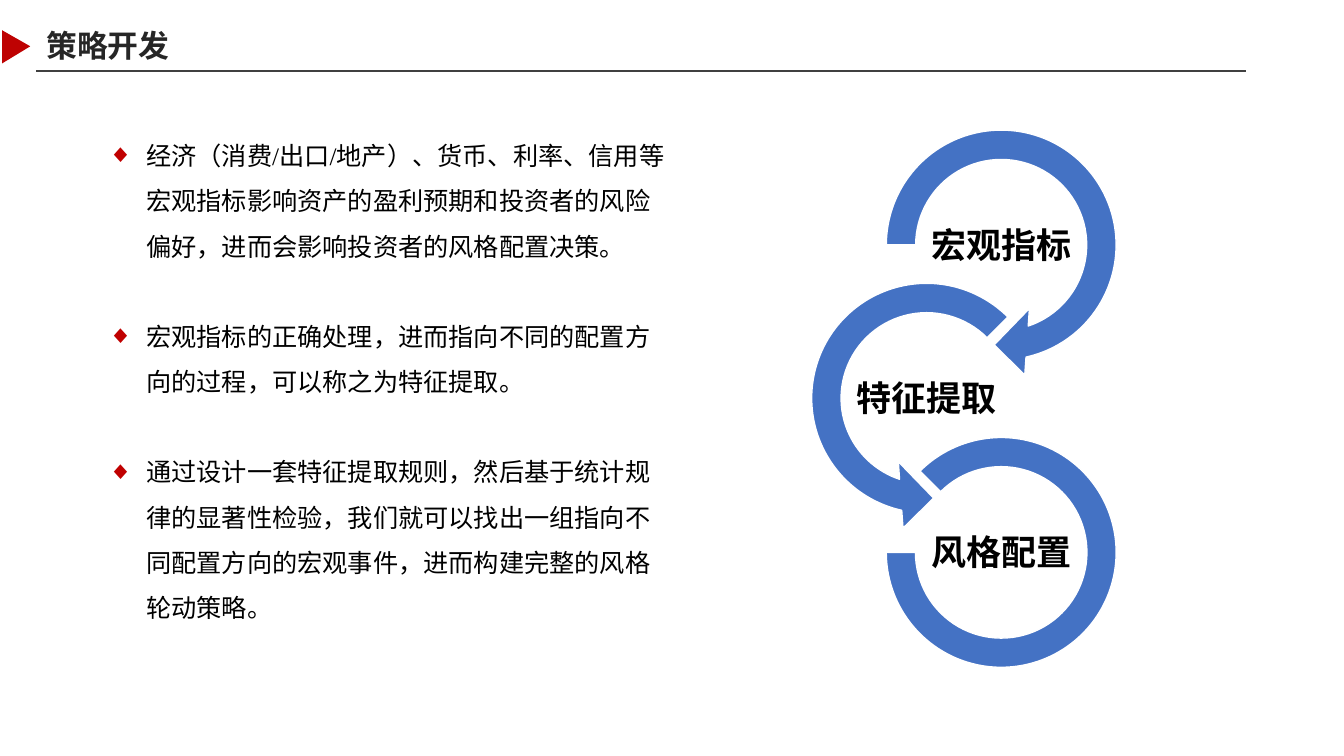
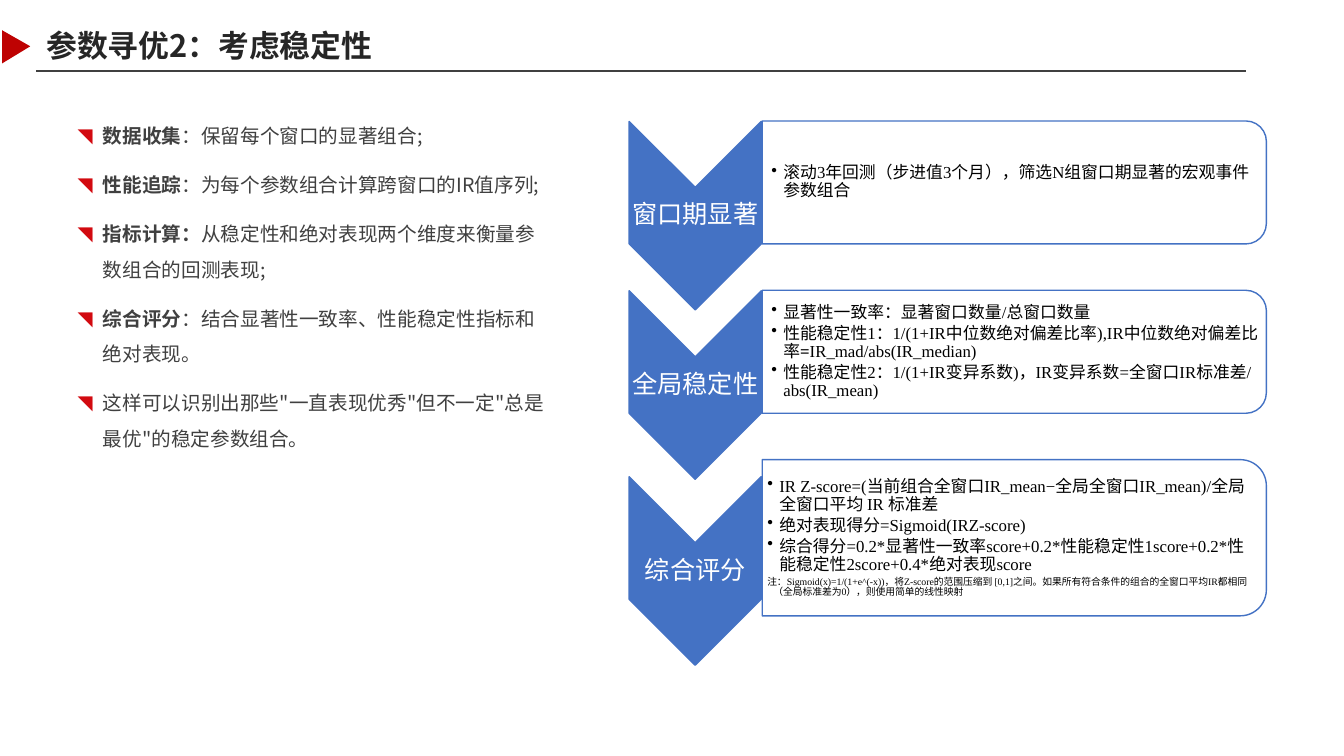
from dataclasses import dataclass

from lxml.etree import SubElement
from pptx import Presentation
from pptx.dml.color import RGBColor
from pptx.enum.shapes import MSO_CONNECTOR, MSO_SHAPE
from pptx.enum.text import MSO_ANCHOR, MSO_AUTO_SIZE, PP_ALIGN
from pptx.oxml.ns import qn
from pptx.util import Pt

PX = 9144  # 100 px to the inch


@dataclass(frozen=True)
class Theme:
    sans: str = "Noto Sans CJK SC"
    serif: str = "Times New Roman"
    marker: str = "BE0202"
    rule: str = "404040"
    title: str = "262626"
    body: str = "404040"
    black: str = "000000"
    white: str = "FFFFFF"
    blue: str = "4472C4"
    diamond: str = "C00000"
    corner: str = "D20A10"
    title_size: int = 22
    ring_size: int = 25
    large_size: int = 18
    body_size: int = 14
    card_size: int = 12
    note_size: float = 7


THEME = Theme()

# Content: **bold** marks bold runs
STRATEGY_TITLE = "策略开发"
STRATEGY_POINTS = [
    "经济（消费/出口/地产）、货币、利率、信用等宏观指标影响资产的盈利预期和投资者的风险偏好，进而会影响投资者的风格配置决策。",
    "宏观指标的正确处理，进而指向不同的配置方向的过程，可以称之为特征提取。",
    "通过设计一套特征提取规则，然后基于统计规律的显著性检验，我们就可以找出一组指向不同配置方向的宏观事件，进而构建完整的风格轮动策略。",
]
# label, shape, diameter, centre, adjustments
RINGS = [
    ("宏观指标", MSO_SHAPE.CIRCULAR_ARROW, 265, (993, 243), (0.11, 11.42, 45, 108, 0.125)),
    ("特征提取", MSO_SHAPE.LEFT_CIRCULAR_ARROW, 265, (919, 395), (0.11, 11.42, 63, 189, 0.125)),
    ("风格配置", MSO_SHAPE.BLOCK_ARC, 228, (993, 548), (135, 108, 0.127)),
]

STABILITY_TITLE = "参数寻优2：考虑稳定性"
STABILITY_POINTS = [
    "**数据收集**：保留每个窗口的显著组合;",
    "**性能追踪**：为每个参数组合计算跨窗口的IR值序列;",
    "**指标计算：**从稳定性和绝对表现两个维度来衡量参数组合的回测表现;",
    "**综合评分**：结合显著性一致率、性能稳定性指标和绝对表现。",
    '这样可以识别出那些"一直表现优秀"但不一定"总是最优"的稳定参数组合。',
]
STAGES = [
    dict(label="窗口期显著", height=122, width=494, inset=9, note=None, points=[
        "滚动3年回测（步进值3个月），筛选N组窗口期显著的宏观事件参数组合",
    ]),
    dict(label="全局稳定性", height=122, width=494, inset=9, note=None, points=[
        "显著性一致率：显著窗口数量/总窗口数量",
        "性能稳定性1：1/(1+IR中位数绝对偏差比率),IR中位数绝对偏差比率**=**IR_mad/abs(IR_median)",
        "性能稳定性2：1/(1+IR变异系数)，IR变异系数=全窗口IR标准差/abs(IR_mean)",
    ]),
    dict(label="综合评分", height=155, width=492, inset=5, points=[
        "IR Z-score=(当前组合全窗口IR_mean−全局全窗口IR_mean)/全局全窗口平均 IR 标准差",
        "绝对表现得分=Sigmoid(IRZ-score)",
        "综合得分=0.2*显著性一致率score+0.2*性能稳定性1score+0.2*性能稳定性2score+0.4*绝对表现score",
    ], note="注：Sigmoid(x)=1/(1+e^(-x))，将Z-score的范围压缩到 [0,1]之间。"
            "如果所有符合条件的组合的全窗口平均IR都相同（全局标准差为0），则使用简单的线性映射"),
]


def color(value):
    return RGBColor.from_string(value)


def box(*lengths):
    return [round(length * PX) for length in lengths]


def place(shape, *lengths):
    shape.left, shape.top, shape.width, shape.height = box(*lengths)


def set_bullet(paragraph, indent, mark=None, mark_color=None):
    properties = paragraph._p.get_or_add_pPr()
    properties.set("marL", str(indent * PX))
    properties.set("indent", str(-indent * PX))
    if mark_color:
        holder = SubElement(properties, qn("a:buClr"))
        SubElement(holder, qn("a:srgbClr")).set("val", mark_color)
    if mark:
        SubElement(properties, qn("a:buChar")).set("char", mark)


def write(paragraph, text, font, size, text_color, bold=False, spacing=0.9,
          before=0, after=0, align=PP_ALIGN.LEFT):
    paragraph.alignment = align
    paragraph.line_spacing = spacing
    paragraph.space_before, paragraph.space_after = Pt(before), Pt(after)
    paragraph.font.name, paragraph.font.size = font, Pt(size)
    paragraph.font.bold = bold
    paragraph.font.color.rgb = color(text_color)
    for index, part in enumerate(text.split("**")):
        if part:
            run = paragraph.add_run()
            run.text = part
            if index % 2:
                run.font.bold = True


def paragraphs(frame, count):
    return [frame.paragraphs[0]] + [frame.add_paragraph() for _ in range(count - 1)]


def add_text_frame(slide, lengths, margins):
    frame = slide.shapes.add_textbox(*box(*lengths)).text_frame
    frame.word_wrap = True
    frame.vertical_anchor = MSO_ANCHOR.MIDDLE
    (frame.margin_left, frame.margin_top,
     frame.margin_right, frame.margin_bottom) = box(*margins)
    return frame


def add_label(slide, text, lengths, margin, size, text_color, bold=False):
    frame = add_text_frame(slide, lengths, [margin] * 4)
    write(frame.paragraphs[0], text, THEME.serif, size, text_color, bold,
          align=PP_ALIGN.CENTER)


def paint(shape, fill, line=None):
    shape.shadow.inherit = False
    shape.fill.solid()
    shape.fill.fore_color.rgb = color(fill)
    if line:
        shape.line.color.rgb = color(line)
        shape.line.width = Pt(1)
    else:
        shape.line.fill.background()


def add_rotated(slide, kind, center_x, center_y, width, height, fill):
    """Add a shape turned by 90 degrees, sized as it appears."""
    shape = slide.shapes.add_shape(kind, *box(
        center_x - height / 2, center_y - width / 2, height, width))
    shape.rotation = 90
    paint(shape, fill, THEME.blue)


def add_framed_slide(presentation, title):
    slide = presentation.slides.add_slide(presentation.slide_layouts[1])
    # Header marker and rule
    builder = slide.shapes.build_freeform(2, 30, scale=PX)
    builder.add_line_segments([(30, 46), (2, 63)], close=True)
    paint(builder.convert_to_shape(), THEME.marker)
    rule = slide.shapes.add_connector(MSO_CONNECTOR.STRAIGHT, *box(36, 70, 1236, 70))
    rule.line.color.rgb = color(THEME.rule)
    rule.line.width = Pt(1.5)
    SubElement(rule._element.spPr, qn("a:effectLst"))
    # Title
    place(slide.shapes.title, 36, 24, 1200, 46)
    frame = slide.shapes.title.text_frame
    frame.vertical_anchor = MSO_ANCHOR.MIDDLE
    frame.auto_size = MSO_AUTO_SIZE.NONE
    write(frame.paragraphs[0], title, THEME.sans, THEME.title_size, THEME.title, True)
    return slide


def fill_body(slide, points, lengths, indent, mark, mark_color, **style):
    body = slide.placeholders[1]
    place(body, *lengths)
    frame = body.text_frame
    frame.auto_size = MSO_AUTO_SIZE.NONE
    for paragraph, point in zip(paragraphs(frame, len(points)), points):
        set_bullet(paragraph, indent, mark, mark_color)
        write(paragraph, point, spacing=1.5, **style)


def build_strategy(presentation):
    slide = add_framed_slide(presentation, STRATEGY_TITLE)
    fill_body(slide, STRATEGY_POINTS, (97, 119, 576, 504), 38, "◆", THEME.diamond,
              font=THEME.serif, size=THEME.large_size, text_color=THEME.black, after=32)
    # Chain of rings, each with a centred label
    label_width, label_height, label_drop = 147, 74, 2
    for label, kind, diameter, (x, y), adjustments in RINGS:
        ring = slide.shapes.add_shape(kind, *box(
            x - diameter / 2, y - diameter / 2, diameter, diameter))
        paint(ring, THEME.blue, THEME.white)
        for index, value in enumerate(adjustments):
            ring.adjustments[index] = value
        add_label(slide, label, (x - label_width / 2, y - label_height / 2 + label_drop,
                                 label_width, label_height),
                  2, THEME.ring_size, THEME.black, True)


def build_stability(presentation):
    slide = add_framed_slide(presentation, STABILITY_TITLE)
    fill_body(slide, STABILITY_POINTS, (67, 106, 487, 559), 25, "◥", THEME.corner,
              font=THEME.sans, size=THEME.body_size, text_color=THEME.body, before=10)
    # Stages: a chevron on the left, a card on the right
    chevron_left, chevron_width, chevron_height, chevron_drop = 624, 131, 187, 33
    card_left, card_width, card_gap, padding, label_height = 756, 500, 46, 6, 56
    top = 120
    for stage in STAGES:
        height = stage["height"]
        center = top + height / 2
        chevron_center = center + chevron_drop
        add_rotated(slide, MSO_SHAPE.CHEVRON, chevron_left + chevron_width / 2,
                    chevron_center, chevron_width, chevron_height, THEME.blue)
        add_label(slide, stage["label"],
                  (chevron_left, chevron_center - label_height / 2,
                   chevron_width, label_height), 1, THEME.large_size, THEME.white)
        add_rotated(slide, MSO_SHAPE.ROUND_2_SAME_RECTANGLE, card_left + card_width / 2,
                    center, card_width, height, THEME.white)
        frame = add_text_frame(
            slide, (card_left, top + padding, stage["width"], height - 2 * padding),
            (stage["inset"], 1, 1, 1))
        lines = [(point, 12, "•", THEME.card_size) for point in stage["points"]]
        if stage["note"]:
            lines.append((stage["note"], 6, None, THEME.note_size))
        for paragraph, (text, indent, mark, size) in zip(paragraphs(frame, len(lines)), lines):
            set_bullet(paragraph, indent, mark)
            write(paragraph, text, THEME.serif, size, THEME.black, after=2)
        top += height + card_gap


def main():
    presentation = Presentation()
    presentation.slide_width, presentation.slide_height = box(1333, 750)
    build_strategy(presentation)
    build_stability(presentation)
    presentation.save("out.pptx")


if __name__ == "__main__":
    main()
